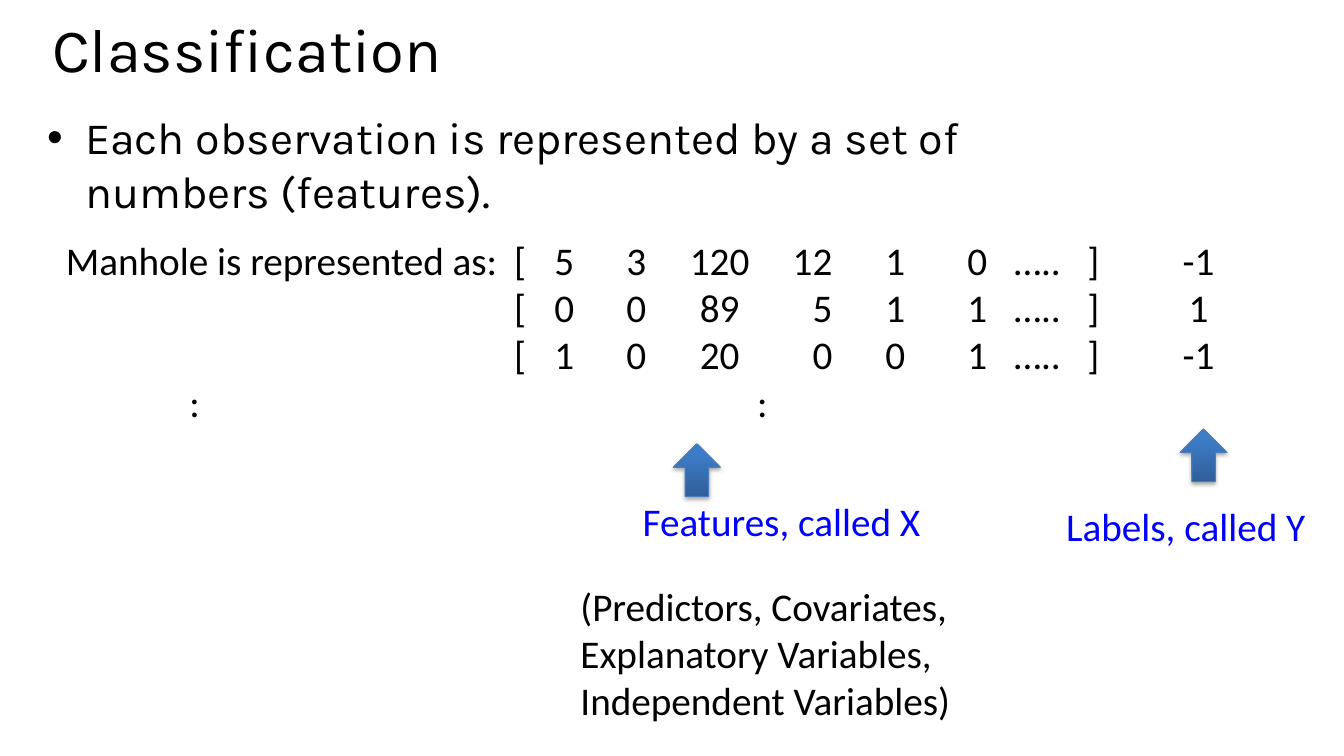
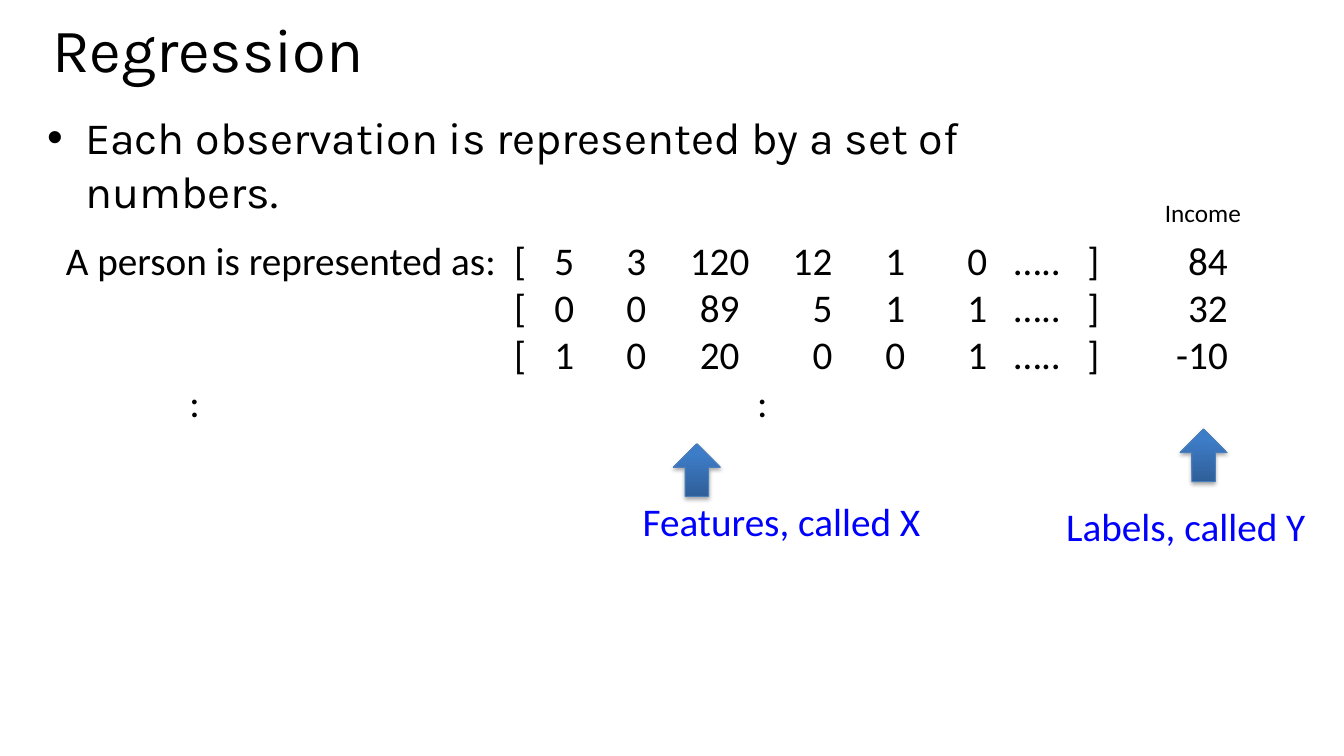
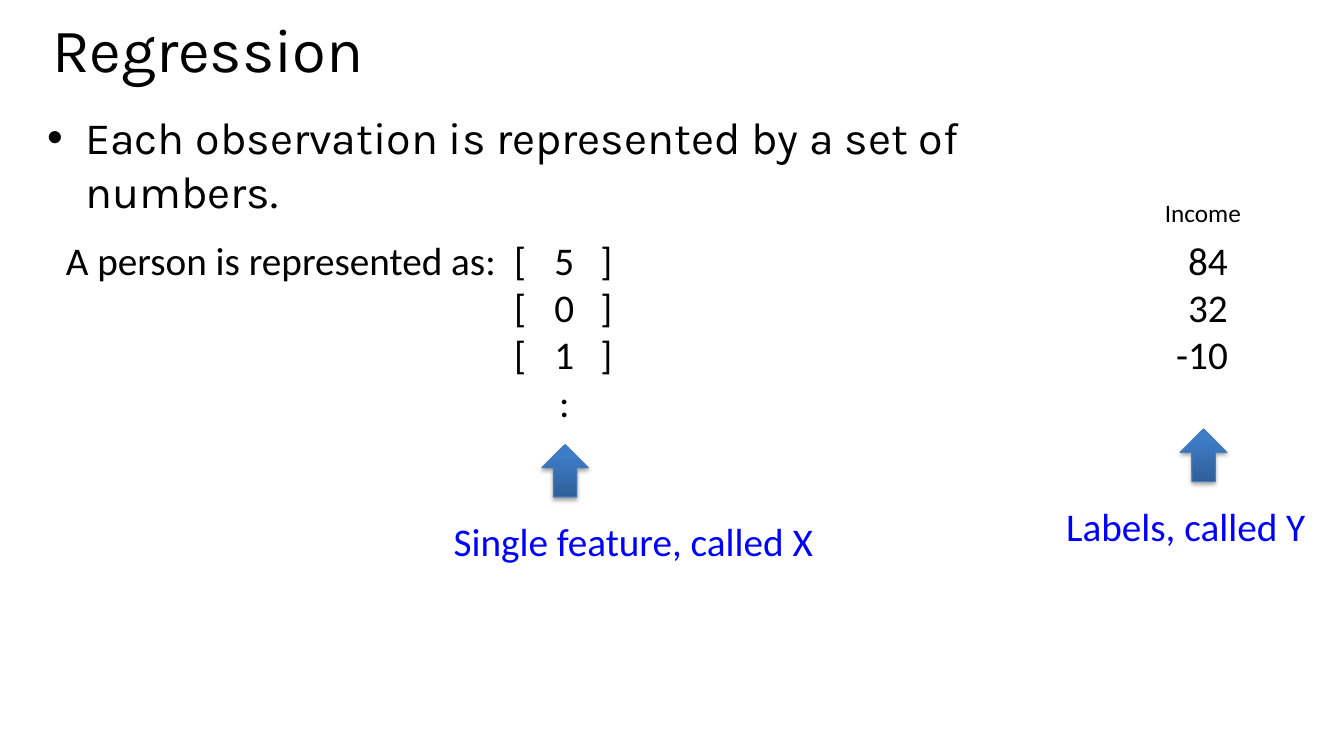
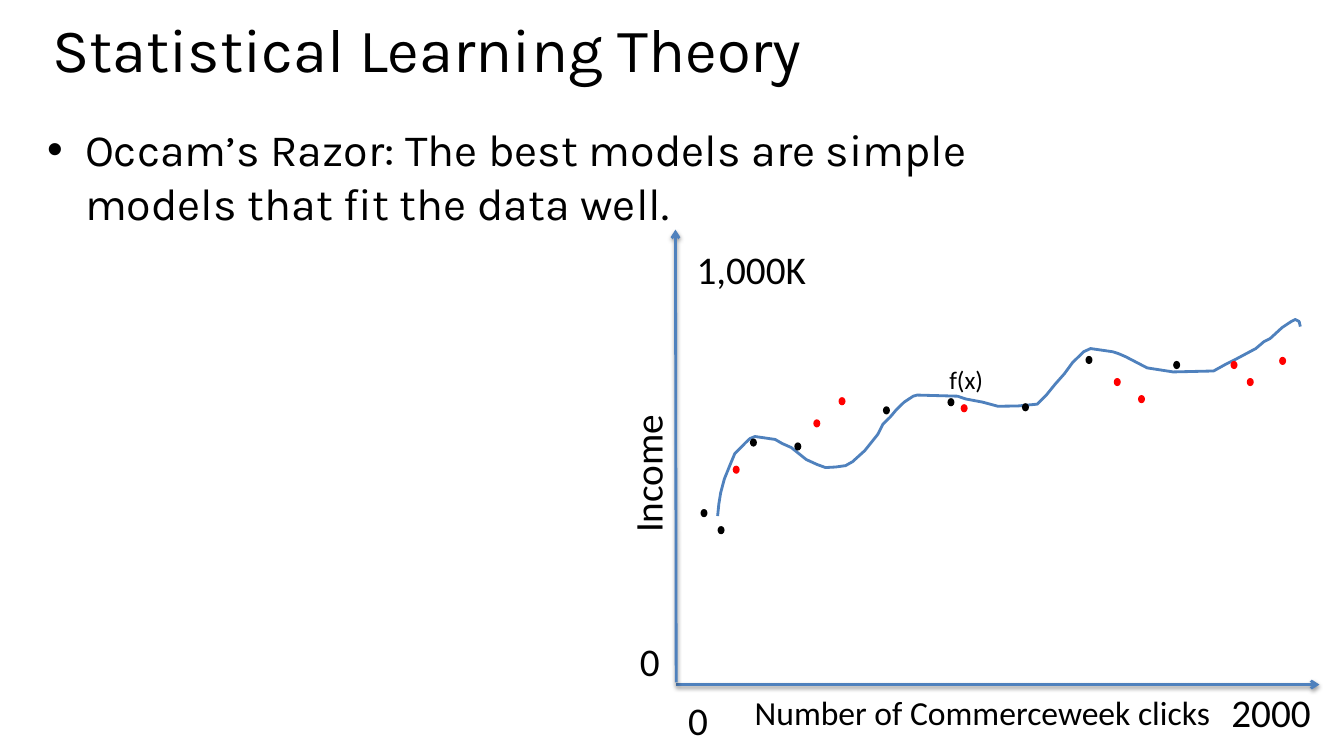
from dataclasses import dataclass

from lxml import etree
from copy import deepcopy
from pptx import Presentation
from pptx.dml.color import RGBColor
from pptx.enum import shapes, text
from pptx.oxml.ns import qn
from pptx.util import Pt

# Shared colours and fonts
BLACK = RGBColor(0x00, 0x00, 0x00)
BLUE = RGBColor(0x00, 0x00, 0xFF)
RED = RGBColor(0xFF, 0x00, 0x00)
LINE_BLUE = RGBColor(0x4F, 0x81, 0xBD)
ARROW_LINE = RGBColor(0x4B, 0x7E, 0xBC)
ARROW_DARK = RGBColor(0x2F, 0x5F, 0x99)
ARROW_MID = RGBColor(0x3D, 0x7C, 0xC7)
ARROW_LIGHT = RGBColor(0x3A, 0x7C, 0xCB)
HEAD_FONT, TEXT_FONT = "Karla", "Calibri"
LEFT, RIGHT = text.PP_ALIGN.LEFT, text.PP_ALIGN.RIGHT

# Tab stops: position in points and alignment
Stop = tuple[float, str]
FEATURE_STOPS: list[Stop] = [
    (324.5, "ctr"), (356, "ctr"), (407.5, "ctr"), (467, "ctr"), (547.5, "r"),
    (592.5, "ctr"), (651, "ctr"), (694, "ctr"), (734, "ctr"),
]
SINGLE_STOPS: list[Stop] = [*FEATURE_STOPS[:2], (386, "ctr")]
CLASS_STOP: Stop = (809, "ctr")
INCOME_STOP: Stop = (830, "r")
DOTS_STOPS: list[Stop] = [(92, "ctr"), (497.5, "ctr")]
FEATURES = ["5 3 120 12 1 0", "0 0 89 5 1 1", "1 0 20 0 0 1"]
INCOMES = ["84", "32", "-10"]


@dataclass
class Label:
    text: str
    x: float
    y: float
    w: float
    h: float = 41
    size: float = 28
    color: RGBColor = BLACK
    wrap: bool = False
    rotation: float = 0
    align: text.PP_ALIGN = LEFT


@dataclass
class Row:
    cells: list[str]
    stops: list[Stop]


@dataclass
class UpArrow:
    x: float
    y: float


@dataclass
class Axis:
    x1: float
    y1: float
    x2: float
    y2: float


def add_run(p, words: str, size: float, font: str, color: RGBColor) -> None:
    r = p.add_run()
    r.text = words
    r.font.size, r.font.name = Pt(size), font
    r.font.color.rgb = color


def add_shadow(sp, alpha: int, dist: float) -> None:
    """Give a shape or connector a soft shadow falling downwards."""
    spPr = sp._element.spPr
    effects = spPr.find(qn("a:effectLst"))
    if effects is None:
        effects = etree.SubElement(spPr, qn("a:effectLst"))
    shadow = etree.SubElement(effects, qn("a:outerShdw"), blurRad=str(Pt(3.1)),
                              dist=str(Pt(dist)), dir="5400000", rotWithShape="0")
    color = etree.SubElement(shadow, qn("a:srgbClr"), val=str(BLACK))
    etree.SubElement(color, qn("a:alpha"), val=str(alpha * 1000))


def add_slide(prs, title: str, bullet: str, body_w: float, body_y: float = 75):
    """Add a slide with its title and one bullet."""
    s = prs.slides.add_slide(prs.slide_layouts[1])
    parts = (
        (s.shapes.title, title, 44, (30, 14.5, 907, 83.5)),
        (s.placeholders[1], bullet, 32, (26.5, body_y, body_w, 417)),
    )
    for sp, words, size, box in parts:
        sp.left, sp.top, sp.width, sp.height = map(Pt, box)
        tf = sp.text_frame
        tf.auto_size = text.MSO_AUTO_SIZE.NONE
        tf.vertical_anchor = text.MSO_ANCHOR.TOP
        p = tf.paragraphs[0]
        p.alignment = LEFT
        add_run(p, words, size, HEAD_FONT, BLACK)
    s.shapes.title.text_frame.paragraphs[0].line_spacing = 0.8
    s.placeholders[1].text_frame.paragraphs[0].space_before = Pt(14)
    return s


def add_label(s, label: Label) -> None:
    sp = s.shapes.add_textbox(Pt(label.x), Pt(label.y), Pt(label.w), Pt(label.h))
    sp.rotation = label.rotation
    tf = sp.text_frame
    tf.word_wrap = label.wrap
    p = tf.paragraphs[0]
    p.alignment = label.align
    add_run(p, label.text, label.size, TEXT_FONT, label.color)


def add_rows(s, rows: list[Row]) -> None:
    """Write the observation rows, with columns set on tab stops."""
    sp = s.shapes.add_textbox(Pt(40), Pt(165.5), Pt(880), Pt(177))
    tf = sp.text_frame
    tf.word_wrap = True
    for i, row in enumerate(rows):
        p = tf.paragraphs[0] if i == 0 else tf.add_paragraph()
        tabs = etree.SubElement(p._p.get_or_add_pPr(), qn("a:tabLst"))
        for pos, align in row.stops:
            etree.SubElement(tabs, qn("a:tab"), pos=str(Pt(pos)), algn=align)
        add_run(p, "\t".join(row.cells), 28, TEXT_FONT, BLACK)


def add_up_arrow(s, arrow: UpArrow) -> None:
    sp = s.shapes.add_shape(shapes.MSO_SHAPE.UP_ARROW, Pt(arrow.x), Pt(arrow.y), Pt(33.5), Pt(37.5))
    sp.fill.gradient()
    sp.fill.gradient_angle = 90
    stop_list = sp._element.spPr.find(".//" + qn("a:gsLst"))
    stop_list.append(deepcopy(stop_list[-1]))
    colors = ((0, ARROW_DARK), (0.8, ARROW_MID), (1, ARROW_LIGHT))
    for stop, (pos, color) in zip(sp.fill.gradient_stops, colors):
        stop.position, stop.color.rgb = pos, color
    sp.line.color.rgb, sp.line.width = ARROW_LINE, Pt(0.75)
    sp.shadow.inherit = False
    add_shadow(sp, 35, 1.8)


def add_axis(s, axis: Axis) -> None:
    sp = s.shapes.add_connector(shapes.MSO_CONNECTOR.STRAIGHT, Pt(axis.x1), Pt(axis.y1),
                                Pt(axis.x2), Pt(axis.y2))
    sp.line.color.rgb, sp.line.width = LINE_BLUE, Pt(2)
    etree.SubElement(sp.line._get_or_add_ln(), qn("a:tailEnd"), type="arrow")
    add_shadow(sp, 38, 1.6)


def add_dot(s, x: float, y: float, color: RGBColor) -> None:
    sp = s.shapes.add_shape(shapes.MSO_SHAPE.OVAL, Pt(x), Pt(y), Pt(5), Pt(5.8))
    sp.fill.solid()
    sp.fill.fore_color.rgb = color
    sp.line.fill.background()
    sp.shadow.inherit = False


def add_curve(s, points: list[tuple[float, float]]) -> None:
    start, *rest = [(Pt(x), Pt(y)) for x, y in points]
    builder = s.shapes.build_freeform(*start)
    builder.add_line_segments(rest, close=False)
    sp = builder.convert_to_shape()
    sp.fill.background()
    sp.line.color.rgb, sp.line.width = LINE_BLUE, Pt(2)
    sp.shadow.inherit = False


def feature_rows(lead: str, results: list[str], result_stop: Stop) -> list[Row]:
    """Rows with all features, closed by a row of colons."""
    stops = [*FEATURE_STOPS, result_stop]
    rows = [Row([lead if i == 0 else "", "[", *values.split(), "…..", "]", result], stops)
            for i, (values, result) in enumerate(zip(FEATURES, results))]
    return [*rows, Row(["", ":", ":"], DOTS_STOPS)]


def single_rows(lead: str, results: list[str]) -> list[Row]:
    """Rows with only the first feature."""
    stops = [*SINGLE_STOPS, INCOME_STOP]
    rows = [Row([lead if i == 0 else "", "[", values.split()[0], "]", result], stops)
            for i, (values, result) in enumerate(zip(FEATURES, results))]
    return [*rows, Row(["", ":"], [FEATURE_STOPS[1]])]


# Labels and arrows used on several slides
LABELS_Y = Label("Labels, called Y", 754.5, 355.5, 188, color=BLUE)
FEATURES_X = Label("Features, called X", 452, 352, 217, color=BLUE)
SINGLE_X = Label("Single feature, called X", 317, 366, 276, color=BLUE)
INCOME_HEAD = Label("Income", 825, 137.5, 70, 29, size=18)
PREDICTORS = Label("(Predictors, Covariates, Explanatory Variables, Independent Variables)",
                   407.5, 412.5, 314, 109, wrap=True)
ARROW_Y = UpArrow(843, 306.5)
ARROW_X = UpArrow(481, 317)
ARROW_SINGLE = UpArrow(387, 317.5)

# Plot of the learned function
AXES = [Axis(483, 489, 942.5, 489), Axis(483, 487.5, 482.5, 164)]
PLOT_LABELS = [
    Label("0", 484.5, 494, 29),
    Label("2000", 872.5, 488, 72),
    Label("Number of Commerceweek clicks", 532, 490.5, 404.5, 36, size=24, wrap=True),
    Label("Income", 409, 322, 106.5, rotation=270, align=RIGHT),
    Label("0", 450, 452, 29),
    Label("1,000K", 490.5, 171.5, 93.5),
    Label("f(x)", 671, 256.5, 39, 29, size=18),
]
CURVE = [
    (512.6, 368.6), (513.5, 360), (514.8, 352), (517.4, 342.2), (521.3, 332.6),
    (524.9, 324), (532.8, 316), (535.8, 313.2), (539.3, 311.8), (553.7, 313.9),
    (558.7, 316.8), (565.2, 319.7), (576, 328.3), (583.9, 331.9), (589.7, 334),
    (596.9, 333.6), (604, 332.6), (609, 329.8), (617.8, 321.8), (627, 310.3),
    (630.7, 303), (635.8, 298), (640, 293), (645.8, 287.3), (652.3, 283),
    (655.2, 282.2), (684, 283), (689.8, 285), (702, 287.3), (712.8, 290.2),
    (727, 290), (740.9, 288.7), (747.4, 282.2), (753.8, 274.3), (760.3, 267),
    (766, 259.2), (774, 251.3), (779, 249), (794.9, 251.3), (799.2, 252.7),
    (804.2, 254.9), (819.4, 262.8), (838, 265.7), (866.9, 265), (874.8, 260.6),
    (882, 257), (897, 249), (902.9, 244), (907.2, 241.9), (915.8, 234),
    (922.3, 229.7), (925.2, 228.2), (928, 229.7), (928.8, 233.3),
]
DOTS = {
    BLACK: [(630.7, 290.2), (500.4, 363.6), (730, 288), (775.4, 254.2), (838, 257.8),
            (676.8, 284.4), (512.6, 375.8), (535.7, 313.2), (567.4, 316)],
    RED: [(523.4, 332.6), (599, 283.7), (581, 299.5), (812.9, 282.2), (795.6, 270),
          (879, 257.8), (913.7, 254.9), (890.6, 270), (686.2, 288.7)],
}


def add_data_slide(prs, title: str, bullet: str, body_w: float, rows: list[Row],
                   labels: list[Label], arrow: UpArrow) -> None:
    s = add_slide(prs, title, bullet, body_w)
    add_rows(s, rows)
    for label in (LABELS_Y, *labels):
        add_label(s, label)
    for item in (arrow, ARROW_Y):
        add_up_arrow(s, item)


def add_plot_slide(prs) -> None:
    s = add_slide(prs, "Statistical Learning Theory",
                  "Occam’s Razor: The best models are simple models that fit the data well.",
                  743, 83.5)
    for axis in AXES:
        add_axis(s, axis)
    for label in PLOT_LABELS:
        add_label(s, label)
    add_curve(s, CURVE)
    for color, places in DOTS.items():
        for x, y in places:
            add_dot(s, x, y, color)


def main() -> None:
    prs = Presentation()
    prs.slide_width, prs.slide_height = Pt(960), Pt(540)
    observation = "Each observation is represented by a set of numbers"
    person = "A person is represented as:"
    add_data_slide(prs, "Classification", observation + " (features).", 755,
                   feature_rows("Manhole is represented as:", ["-1", "1", "-1"], CLASS_STOP),
                   [FEATURES_X, PREDICTORS], ARROW_X)
    add_data_slide(prs, "Regression", observation + ".", 751.5,
                   feature_rows(person, INCOMES, INCOME_STOP),
                   [FEATURES_X, INCOME_HEAD], ARROW_X)
    add_data_slide(prs, "Regression", observation + ".", 744.5,
                   single_rows(person, INCOMES), [SINGLE_X, INCOME_HEAD], ARROW_SINGLE)
    add_plot_slide(prs)
    prs.save("out.pptx")


if __name__ == "__main__":
    main()
